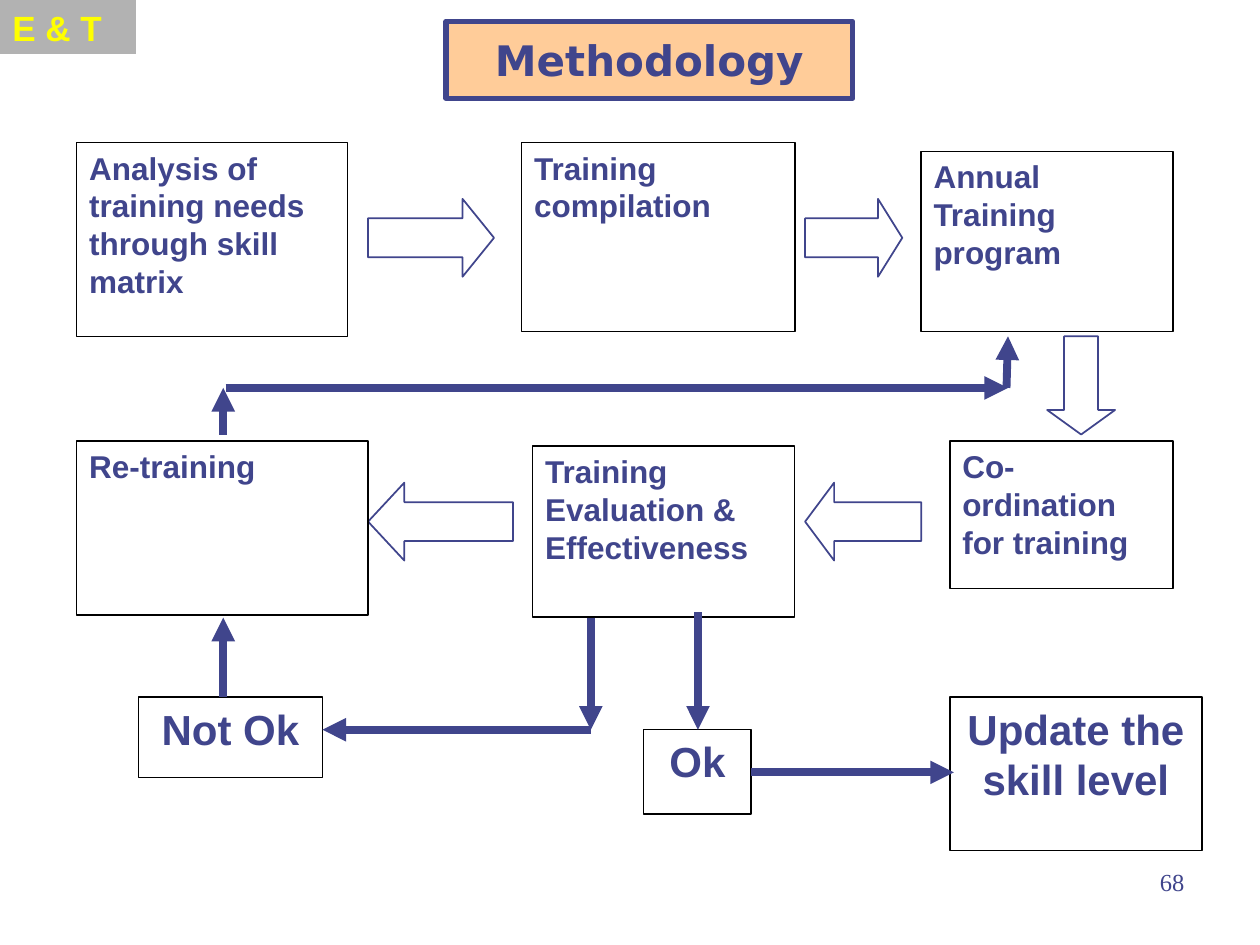
from dataclasses import dataclass
from typing import NamedTuple

from lxml import etree
from pptx import Presentation
from pptx.dml.color import RGBColor
from pptx.enum.shapes import MSO_CONNECTOR, MSO_SHAPE
from pptx.enum.text import MSO_ANCHOR, MSO_AUTO_SIZE, PP_ALIGN
from pptx.oxml.ns import qn
from pptx.util import Cm, Pt

LEFT, CENTER, RIGHT = PP_ALIGN.LEFT, PP_ALIGN.CENTER, PP_ALIGN.RIGHT
TOP, MIDDLE = MSO_ANCHOR.TOP, MSO_ANCHOR.MIDDLE
RECTANGLE = MSO_SHAPE.RECTANGLE
RIGHT_ARROW, DOWN_ARROW = MSO_SHAPE.RIGHT_ARROW, MSO_SHAPE.DOWN_ARROW
STRAIGHT = MSO_CONNECTOR.STRAIGHT
TITLE_ONLY = 5


@dataclass(frozen=True)
class Theme:
    ink: RGBColor = RGBColor(0x40, 0x45, 0x8C)
    black: RGBColor = RGBColor(0, 0, 0)
    white: RGBColor = RGBColor(0xFF, 0xFF, 0xFF)
    peach: RGBColor = RGBColor(0xFF, 0xCC, 0x99)
    grey: RGBColor = RGBColor(0xB2, 0xB2, 0xB2)
    yellow: RGBColor = RGBColor(0xFF, 0xFF, 0)
    body_font: str = "Arial"
    title_font: str = "DejaVu Sans"
    number_font: str = "Times New Roman"
    number_size: int = 14
    step_size: int = 18
    tag_size: int = 20
    large_size: int = 24


THEME = Theme()


class Frame(NamedTuple):
    """Left, top, width and height in centimetres."""
    left: float
    top: float
    width: float
    height: float

    def lengths(self):
        return [Cm(value) for value in self]


class TextStyle(NamedTuple):
    size: int
    font: str = THEME.body_font
    color: RGBColor = THEME.ink
    bold: bool = True
    align: PP_ALIGN = LEFT
    before: int = 0


class Step(NamedTuple):
    text: str
    frame: Frame
    style: TextStyle


class BlockArrow(NamedTuple):
    frame: Frame
    kind: MSO_SHAPE = RIGHT_ARROW
    rotation: int = 0


class Flow(NamedTuple):
    """Start and end of a line with an arrowhead, in centimetres."""
    x1: float
    y1: float
    x2: float
    y2: float


STEP = TextStyle(THEME.step_size)
OUTCOME = TextStyle(THEME.large_size, align=CENTER, before=6)
TITLE = TextStyle(THEME.large_size, THEME.title_font, align=CENTER, before=6)
TAG = TextStyle(THEME.tag_size, color=THEME.yellow, before=5)
NUMBER = TextStyle(THEME.number_size, THEME.number_font, bold=False, align=RIGHT)

STEPS = [
    Step("Analysis of training needs through skill matrix", Frame(1.55, 2.87, 5.46, 3.91), STEP),
    Step("Training compilation", Frame(10.52, 2.87, 5.51, 3.81), STEP),
    Step("Annual Training program", Frame(18.57, 3.05, 5.08, 3.63), STEP),
    Step("Co- ordination for training", Frame(19.15, 8.89, 4.5, 2.97), STEP),
    Step("Training Evaluation & Effectiveness", Frame(10.74, 8.99, 5.28, 3.45), STEP),
    Step("Re-training", Frame(1.55, 8.89, 5.87, 3.51), STEP),
    Step("Ok", Frame(12.98, 14.71, 2.16, 1.7), OUTCOME),
    Step("Not Ok", Frame(2.79, 14.05, 3.71, 1.63), OUTCOME),
    Step("Update the skill level", Frame(19.15, 14.05, 5.08, 3.1), OUTCOME),
]

BLOCK_ARROWS = [
    BlockArrow(Frame(7.42, 4.01, 2.54, 1.57)),
    BlockArrow(Frame(16.23, 4.01, 1.96, 1.57)),
    BlockArrow(Frame(21.11, 6.78, 1.37, 1.98), DOWN_ARROW),
    BlockArrow(Frame(16.23, 9.73, 2.34, 1.57), rotation=180),
    BlockArrow(Frame(7.42, 9.73, 2.92, 1.57), rotation=180),
]

FLOWS = [
    Flow(14.07, 12.34, 14.07, 14.71),  # evaluation to Ok
    Flow(15.14, 15.57, 19.23, 15.57),  # Ok to skill level
    Flow(11.91, 12.45, 11.91, 14.71),  # evaluation to Not Ok
    Flow(11.91, 14.71, 6.5, 14.71),
    Flow(4.5, 14.05, 4.5, 12.45),      # Not Ok to re-training
    Flow(4.5, 8.76, 4.5, 7.82),        # re-training to annual program
    Flow(4.55, 7.82, 20.32, 7.82),
    Flow(20.29, 7.82, 20.32, 6.78),
]


def write(box, text: str, style: TextStyle, anchor=TOP, wrap: bool = True) -> None:
    frame = box.text_frame
    frame.word_wrap = wrap
    frame.auto_size = MSO_AUTO_SIZE.NONE
    frame.vertical_anchor = anchor
    para = frame.paragraphs[0]
    para.alignment = style.align
    para.space_before = Pt(style.before)
    span = para.add_run()
    span.text = text
    span.font.name = style.font
    span.font.size = Pt(style.size)
    span.font.bold = style.bold
    span.font.color.rgb = style.color


def outline(box, color: RGBColor, width: float) -> None:
    box.line.color.rgb = color
    box.line.width = Pt(width)


def add_title(page, text: str, frame: Frame) -> None:
    box = page.shapes.title
    box.left, box.top, box.width, box.height = frame.lengths()
    geometry = etree.SubElement(box.element.spPr, qn("a:prstGeom"), prst="roundRect")
    etree.SubElement(geometry, qn("a:avLst"))
    box.fill.solid()
    box.fill.fore_color.rgb = THEME.peach
    outline(box, THEME.ink, 3)
    write(box, text, TITLE, MIDDLE, wrap=False)


def add_panel(page, step: Step, fill: RGBColor):
    box = page.shapes.add_shape(RECTANGLE, *step.frame.lengths())
    box.shadow.inherit = False
    box.fill.solid()
    box.fill.fore_color.rgb = fill
    write(box, step.text, step.style)
    return box


def add_block_arrow(page, arrow: BlockArrow) -> None:
    box = page.shapes.add_shape(arrow.kind, *arrow.frame.lengths())
    box.shadow.inherit = False
    box.fill.background()
    outline(box, THEME.ink, 1)
    box.rotation = arrow.rotation
    # The head takes a quarter of the arrow's length
    thickness, length = sorted(arrow.frame[2:])
    box.adjustments[0] = 0.5
    box.adjustments[1] = length / 4 / thickness


def add_flow(page, flow: Flow) -> None:
    line = page.shapes.add_connector(STRAIGHT, *[Cm(value) for value in flow])
    outline(line, THEME.ink, 4.5)
    etree.SubElement(line.line._get_or_add_ln(), qn("a:tailEnd"), type="triangle")
    etree.SubElement(line.element.spPr, qn("a:effectLst"))


def main() -> None:
    deck = Presentation()
    deck.slide_width, deck.slide_height = Cm(25.4), Cm(19.05)
    page = deck.slides.add_slide(deck.slide_layouts[TITLE_ONLY])

    # Title, page number and corner tag
    add_title(page, "Methodology", Frame(8.99, 0.43, 8.2, 1.55))
    number = page.shapes.add_textbox(*Frame(18.21, 17.35, 5.92, 1.32).lengths())
    write(number, "68", NUMBER)
    tag = add_panel(page, Step("E & T", Frame(0, 0, 2.74, 1.09), TAG), THEME.grey)
    tag.line.fill.background()

    # Flow chart
    for arrow in BLOCK_ARROWS:
        add_block_arrow(page, arrow)
    for step in STEPS:
        outline(add_panel(page, step, THEME.white), THEME.black, 0.75)
    for flow in FLOWS:
        add_flow(page, flow)

    deck.save("out.pptx")


if __name__ == "__main__":
    main()
